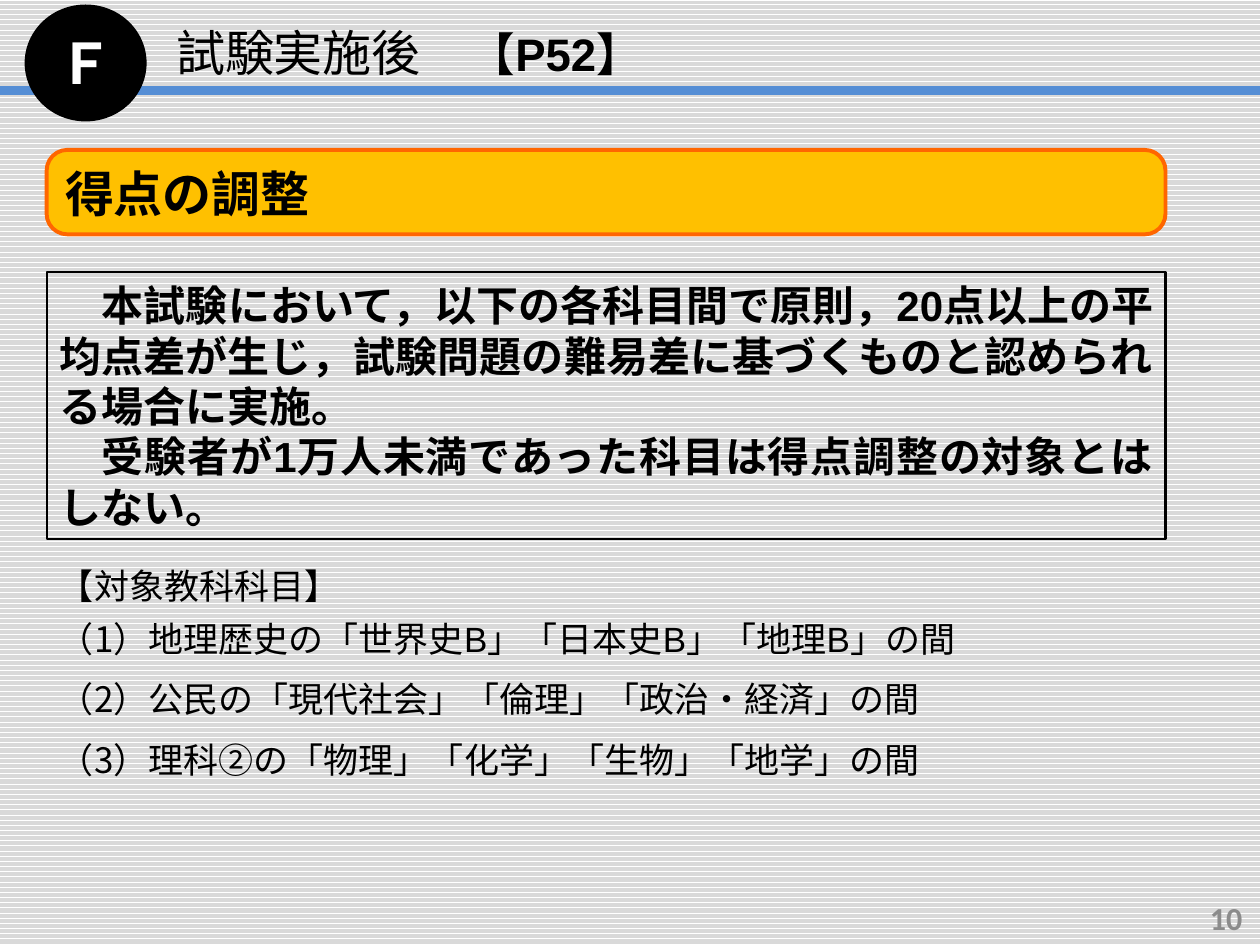
from lxml import etree
from pptx import Presentation
from pptx.dml.color import RGBColor
from pptx.enum import dml, shapes, text
from pptx.oxml.ns import qn
from pptx.util import Inches, Pt

GOTHIC = "Noto Sans CJK JP"
BLACK = "000000"
LEFT, WIDTH = 0.37, 8.88


def color(value):
    return RGBColor.from_string(value)


def set_background(slide):
    fill = slide.background.fill
    fill.patterned()
    fill.pattern = dml.MSO_PATTERN.DARK_HORIZONTAL
    fill.fore_color.rgb = color("D9D9D9")
    fill.back_color.rgb = color("FFFFFF")


def add_rule(slide, y, line_color, weight):
    rule = slide.shapes.add_connector(
        shapes.MSO_CONNECTOR.STRAIGHT, Inches(0), Inches(y), Inches(10), Inches(y))
    rule.line.color.rgb = color(line_color)
    rule.line.width = Pt(weight)
    etree.SubElement(rule._element.spPr, qn("a:effectLst"))


def add_panel(slide, kind, box, fill=None, line=None, weight=1):
    panel = slide.shapes.add_shape(kind, *map(Inches, box))
    panel.shadow.inherit = False
    if fill:
        panel.fill.solid()
        panel.fill.fore_color.rgb = color(fill)
    else:
        panel.fill.background()
    panel.line.color.rgb = color(line)
    panel.line.width = Pt(weight)
    return panel


def add_label(slide, box):
    return slide.shapes.add_textbox(*map(Inches, box))


def prepare_frame(shape, anchor, wrap=True):
    frame = shape.text_frame
    frame.word_wrap = wrap
    frame.vertical_anchor = anchor
    return frame


def add_run(paragraph, words, size, font=GOTHIC, fill=BLACK, bold=False):
    run = paragraph.add_run()
    run.text = words
    run.font.size = Pt(size)
    run.font.bold = bold
    run.font.color.rgb = color(fill)
    run.font.name = font
    east_asian = etree.SubElement(run._r.get_or_add_rPr(), qn("a:ea"))
    east_asian.set("typeface", GOTHIC)


def add_mixed_paragraphs(frame, rows, size, bold=False, align=text.PP_ALIGN.LEFT,
                         indent=0, gaps=None):
    """Each row alternates Gothic and Arial runs; gaps are points before each row."""
    for index, row in enumerate(rows):
        paragraph = frame.paragraphs[0] if index == 0 else frame.add_paragraph()
        paragraph.alignment = align
        paragraph.line_spacing = Pt(size * 1.2)
        if gaps:
            paragraph.space_before = Pt(gaps[index])
        if indent:
            paragraph._p.get_or_add_pPr().set("indent", str(Inches(indent)))
        for position, words in enumerate(row):
            add_run(paragraph, words, size, "Arial" if position % 2 else GOTHIC, bold=bold)


def add_header(slide):
    add_rule(slide, 0.72, "558ED5", 5)
    badge = add_panel(slide, shapes.MSO_SHAPE.OVAL, (0.21, 0.05, 0.94, 0.9),
                      BLACK, BLACK, 2)
    letter = prepare_frame(badge, text.MSO_ANCHOR.MIDDLE, wrap=False).paragraphs[0]
    letter.alignment = text.PP_ALIGN.CENTER
    letter.line_spacing = Pt(38)
    add_run(letter, "Ｆ", 32, fill="FFFFFF", bold=True)

    title_box = add_label(slide, (1.3, 0.11, 6, 0.61))
    title = prepare_frame(title_box, text.MSO_ANCHOR.MIDDLE).paragraphs[0]
    add_run(title, "試験実施後　", 28)
    add_run(title, "【P52】", 26, "Arial", bold=True)


def add_topic(slide):
    banner = add_panel(slide, shapes.MSO_SHAPE.ROUNDED_RECTANGLE,
                       (LEFT, 1.19, WIDTH, 0.67), "FFC000", "FF6600", 2.25)
    banner.adjustments[0] = 0.245
    topic = prepare_frame(banner, text.MSO_ANCHOR.BOTTOM).paragraphs[0]
    topic.alignment = text.PP_ALIGN.LEFT
    add_run(topic, "得点の調整", 28, "Arial", bold=True)


def add_conditions(slide):
    panel = add_panel(slide, shapes.MSO_SHAPE.RECTANGLE, (LEFT, 2.16, WIDTH, 2.12),
                      line=BLACK, weight=1.25)
    rows = [
        ["本試験において，以下の各科目間で原則，", "20",
         "点以上の平均点差が生じ，試験問題の難易差に基づくものと認められる場合に実施。"],
        ["受験者が", "1", "万人未満であった科目は得点調整の対象とはしない。"],
    ]
    add_mixed_paragraphs(prepare_frame(panel, text.MSO_ANCHOR.MIDDLE), rows, 24,
                         bold=True, align=text.PP_ALIGN.JUSTIFY, indent=0.34)


def add_subjects(slide):
    subjects = add_label(slide, (LEFT, 4.43, 9.64, 2.15))
    rows = [
        ["【対象教科科目】"],
        ["（1）地理歴史の「世界史", "B", "」「日本史", "B", "」「地理", "B", "」の間"],
        ["（2）公民の「現代社会」「倫理」「政治・経済」の間"],
        ["（3）理科②の「物理」「化学」「生物」「地学」の間"],
    ]
    add_mixed_paragraphs(prepare_frame(subjects, text.MSO_ANCHOR.TOP), rows, 20,
                         gaps=[0, 6.1, 10.6, 10.6])


def add_page_number(slide):
    corner = add_label(slide, (7.8, 7.03, 2.16, 0.5))
    number = prepare_frame(corner, text.MSO_ANCHOR.MIDDLE).paragraphs[0]
    number.alignment = text.PP_ALIGN.RIGHT
    add_run(number, "10", 18.3, "Calibri", "8C8C8C", bold=True)


def main():
    deck = Presentation()
    deck.slide_width, deck.slide_height = Inches(10), Inches(7.5)
    slide = deck.slides.add_slide(deck.slide_layouts[6])
    set_background(slide)
    add_header(slide)
    add_topic(slide)
    add_conditions(slide)
    add_subjects(slide)
    add_page_number(slide)
    deck.save("out.pptx")


if __name__ == "__main__":
    main()
